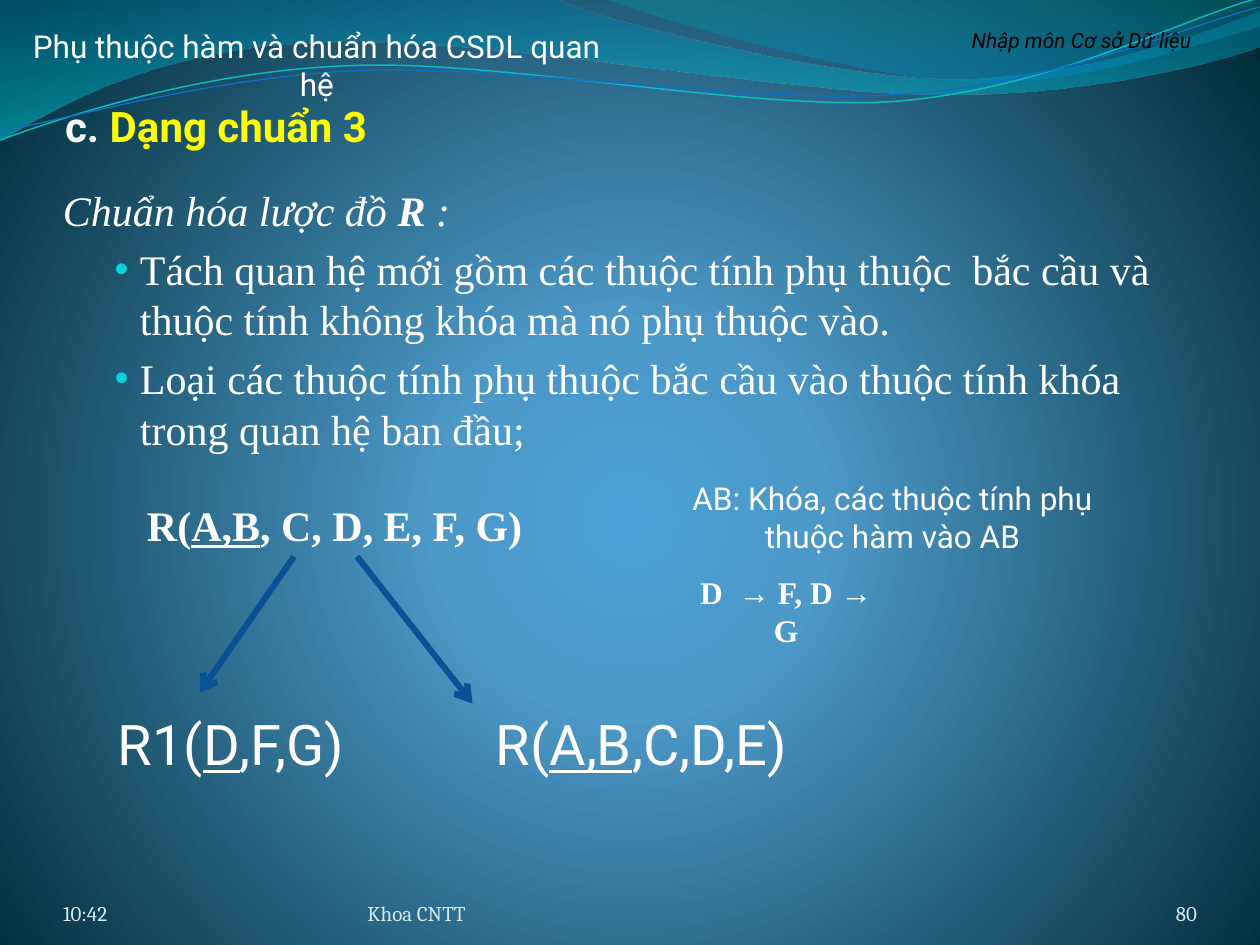
from dataclasses import dataclass
from math import cos, radians, sin

from lxml.etree import SubElement
from pptx import Presentation
from pptx.dml.color import RGBColor
from pptx.enum.shapes import MSO_CONNECTOR as Connector
from pptx.enum.text import MSO_ANCHOR as Anchor, MSO_AUTO_SIZE as AutoSize, PP_ALIGN as Align
from pptx.oxml import parse_xml
from pptx.oxml.ns import nsdecls, qn
from pptx.util import Pt


@dataclass(frozen=True)
class Theme:
    white: str = "FFFFFF"
    black: str = "000000"
    highlight: str = "FFFF00"
    footer: str = "D1EAEE"
    bullet: str = "0BD0D9"
    arrow: str = "095295"
    teal_line: str = "0AB8BF"
    blue_line: str = "0F6FC6"
    # Gradient stops: position %, colour, opacity %
    backdrop: tuple = ((0, "4AA0D6", 100), (25, "4C98C7", 100), (100, "002C38", 100))
    wide_wave: tuple = ((0, "0074A1", 45), (100, "00C6CF", 55))
    right_wave: tuple = ((0, "00A1A9", 30), (80, "008BBF", 45))
    sans: str = "Roboto"
    serif: str = "Times New Roman"
    footer_font: str = "Cambria"
    small: int = 12
    note: int = 18
    body: int = 24
    relation: int = 32


THEME = Theme()
DEFAULT_INSETS = (7.2, 3.6, 7.2, 3.6)
BODY_INSETS = (0, 3.6, 1.4, 3.6)
LINE_TILT = -2.7


def add_run(paragraph, text, font=THEME.sans, size=THEME.note, color=THEME.white,
            bold=False, italic=False, underline=False):
    run = paragraph.add_run()
    run.text = text
    style = run.font
    style.name, style.size = font, Pt(size)
    style.bold, style.italic, style.underline = bold, italic, underline
    style.color.rgb = RGBColor.from_string(color)


def gradient(stops, direction):
    marks = "".join(
        f'<a:gs pos="{position * 1000}"><a:srgbClr val="{color}">'
        f'<a:alpha val="{opacity * 1000}"/></a:srgbClr></a:gs>'
        for position, color, opacity in stops)
    return parse_xml(f'<a:gradFill {nsdecls("a")} rotWithShape="1">'
                     f'<a:gsLst>{marks}</a:gsLst>{direction}</a:gradFill>')


def turn(point, degrees, center=(359.3, 41.4)):
    angle = radians(degrees)
    dx, dy = point[0] - center[0], point[1] - center[1]
    return (center[0] + dx * cos(angle) - dy * sin(angle),
            center[1] + dx * sin(angle) + dy * cos(angle))


def bend(shape, segments):
    """Turn each run of three straight steps of a cubic segment into one curve."""
    steps = iter(list(shape._element.iter(qn("a:lnTo"))))
    for segment in segments:
        first = next(steps)
        if len(segment) == 6:
            first.tag = qn("a:cubicBezTo")
            for _ in range(2):
                control = next(steps)
                first.append(control[0])
                control.getparent().remove(control)


class SlideBuilder:
    def __init__(self, slide, theme):
        self.slide, self.theme = slide, theme

    def background(self):
        self.slide.background.fill.solid()
        properties = self.slide._element.cSld.find(qn("p:bg")).find(qn("p:bgPr"))
        direction = ('<a:path path="circle"><a:fillToRect l="10000" t="110000" '
                     'r="10000" b="100000"/></a:path>')
        properties.replace(properties[0], gradient(self.theme.backdrop, direction))

    def wave(self, start, segments, stops=None, line=None, width=1, tilt=0):
        """Segments are straight (2 numbers) or cubic (6 numbers)."""
        points = [start] + [segment[i:i + 2] for segment in segments
                            for i in range(0, len(segment), 2)]
        points = [turn(point, -tilt) for point in points]
        outline = self.slide.shapes.build_freeform(*points[0], scale=float(Pt(1)))
        outline.add_line_segments(points[1:], close=stops is not None)
        shape = outline.convert_to_shape()
        bend(shape, segments)
        shape.rotation = tilt
        shape.shadow.inherit = False
        shape.fill.background()
        if stops:
            shape.line.fill.background()
            properties = shape._element.spPr
            properties.replace(properties.find(qn("a:noFill")),
                               gradient(stops, '<a:lin ang="5400000" scaled="1"/>'))
        else:
            shape.line.color.rgb = RGBColor.from_string(line)
            shape.line.width = Pt(width)

    def frame(self, shape, insets=DEFAULT_INSETS, anchor=Anchor.TOP, wrap=True, grow=False):
        frame = shape.text_frame
        frame.word_wrap, frame.vertical_anchor = wrap, anchor
        frame.auto_size = AutoSize.SHAPE_TO_FIT_TEXT if grow else AutoSize.NONE
        (frame.margin_left, frame.margin_top,
         frame.margin_right, frame.margin_bottom) = map(Pt, insets)
        return frame

    def title(self, box, runs):
        title = self.slide.shapes.title
        title.left, title.top, title.width, title.height = map(Pt, box)
        paragraph = self.frame(title).paragraphs[0]
        paragraph.alignment = Align.LEFT
        for text, style in runs:
            add_run(paragraph, text, size=self.theme.body, bold=True, **style)

    def text(self, box, runs, align=Align.LEFT, indent=0, style=None, **frame_style):
        shape = self.slide.shapes.add_textbox(*map(Pt, box))
        frame = self.frame(shape, **frame_style)
        paragraph = frame.paragraphs[0]
        paragraph.alignment = align
        if indent:
            paragraph._p.get_or_add_pPr().set("marL", str(Pt(indent)))
        for text, own_style in runs:
            add_run(paragraph, text, **{**(style or {}), **own_style})
        return frame

    def bullet(self, frame, text, **style):
        paragraph = frame.add_paragraph()
        paragraph.level = 1
        paragraph.space_before = Pt(4.8)
        properties = paragraph._p.get_or_add_pPr()
        properties.set("marL", str(Pt(50)))
        properties.set("indent", str(Pt(-14.4)))
        color = SubElement(properties, qn("a:buClr"))
        SubElement(color, qn("a:srgbClr"), val=self.theme.bullet)
        SubElement(properties, qn("a:buSzPct"), val="95000")
        SubElement(properties, qn("a:buFont"), typeface="Arial")
        SubElement(properties, qn("a:buChar"), char="•")
        add_run(paragraph, text, **style)

    def arrow(self, start, end):
        arrow = self.slide.shapes.add_connector(Connector.STRAIGHT, *map(Pt, start + end))
        arrow.line.color.rgb = RGBColor.from_string(self.theme.arrow)
        arrow.line.width = Pt(3.5)
        SubElement(arrow.line._get_or_add_ln(), qn("a:tailEnd"), type="arrow")
        SubElement(arrow._element.spPr, qn("a:effectLst"))


def main():
    deck = Presentation()
    deck.slide_width, deck.slide_height = Pt(720), Pt(540)
    page = SlideBuilder(deck.slides.add_slide(deck.slide_layouts[5]), THEME)
    plain, underlined = {}, {"underline": True}

    # Backdrop and waves
    page.background()
    page.wave((0, 0), [
        (316.8, -0.7), (342.7, 12.2, 478.1, 45.4, 545.8, 45.4),
        (614.2, 45.4, 689.8, 18.7, 720, 6.5), (720.7, 25.9),
        (707.8, 31.7, 626.4, 54.7, 537.1, 54), (447.8, 54, 275, 20.2, 185, 24.5),
        (92.9, 25.9, 33.1, 59.8, -0.7, 81.4)], stops=THEME.wide_wave)
    page.wave((344.9, -0.7), [
        (366.5, 7.9, 491, 44.6, 553.7, 46.8), (616.3, 49.7, 691.9, 23, 720, 15.1),
        (720, 0)], stops=THEME.right_wave)
    page.wave((0, 79.9), [
        (34.6, 67, 113.8, 41, 199.4, 37.4), (284.4, 33.8, 427, 64.1, 513.4, 57.6),
        (599.8, 51.1, 675.4, 10.8, 718.6, -1.4)],
        line=THEME.teal_line, width=0.85, tilt=LINE_TILT)
    page.wave((0, 74.9), [
        (33.8, 69.1, 118.1, 43.9, 203.8, 40.3), (290.2, 36.7, 433.4, 60.5, 516.2, 54),
        (601.9, 48.2, 677.5, 15.1, 720, 4.3)],
        line=THEME.blue_line, width=0.75, tilt=LINE_TILT)

    # Header and title
    page.text((516, 12, 204, 21.6), [("Nhập môn Cơ sở Dữ liệu", plain)], Align.CENTER, grow=True,
              style={"size": THEME.small, "color": THEME.black, "italic": True})
    page.text((0, 12, 362, 29), [("Phụ thuộc hàm và chuẩn hóa CSDL quan hệ", plain)],
              Align.CENTER, wrap=False, grow=True)
    page.title((30, 54, 660, 36), [("c. ", plain), ("Dạng chuẩn 3", {"color": THEME.highlight})])

    # Normalisation steps
    serif = {"font": THEME.serif, "size": THEME.body}
    steps = page.text((30, 102, 648, 169), [
        ("Chuẩn hóa lược đồ", plain), (" R ", {"bold": True}), (":", plain)],
        indent=6, insets=BODY_INSETS, style={**serif, "italic": True})
    for step in ("Tách quan hệ mới gồm các thuộc tính phụ thuộc  bắc cầu và "
                 "thuộc tính không khóa mà nó phụ thuộc vào.",
                 "Loại các thuộc tính phụ thuộc bắc cầu vào thuộc tính khóa "
                 "trong quan hệ ban đầu;"):
        page.bullet(steps, step, **serif)

    # Source relation and its dependencies
    page.text((24, 282, 648, 48), [
        ("R(", plain), ("A,B", underlined), (", C, D, E, F, G)", plain)],
        indent=60, insets=BODY_INSETS, style={**serif, "bold": True})
    page.text((384, 270, 252, 51), [("AB: Khóa, các thuộc tính phụ thuộc hàm vào AB", plain)],
              Align.CENTER, grow=True)
    page.text((384, 324, 130.5, 29), [("D  → F, D → G", plain)], Align.CENTER,
              wrap=False, grow=True, style={"font": THEME.serif, "bold": True})

    # Decomposed relations
    for box, name, key, rest in (((60, 402, 144, 46), "R1(", "D", ",F,G)"),
                                 ((276, 402, 181, 46), "R(", "A,B", ",C,D,E)")):
        page.text(box, [(name, plain), (key, underlined), (rest, plain)], Align.CENTER,
                  wrap=False, grow=True, style={"size": THEME.relation})
    page.arrow((168, 318), (114, 396))
    page.arrow((204, 318), (270, 402))

    # Footer
    for left, width, label, align in ((36, 168, "10:42", Align.LEFT),
                                      (210, 264, "Khoa CNTT", Align.LEFT),
                                      (624, 60, "80", Align.RIGHT)):
        page.text((left, 500.5, width, 28.75), [(label, plain)], align,
                  insets=(0, 0, 0, 0), anchor=Anchor.BOTTOM,
                  style={"font": THEME.footer_font, "size": THEME.small, "color": THEME.footer})

    deck.save("out.pptx")


if __name__ == "__main__":
    main()
